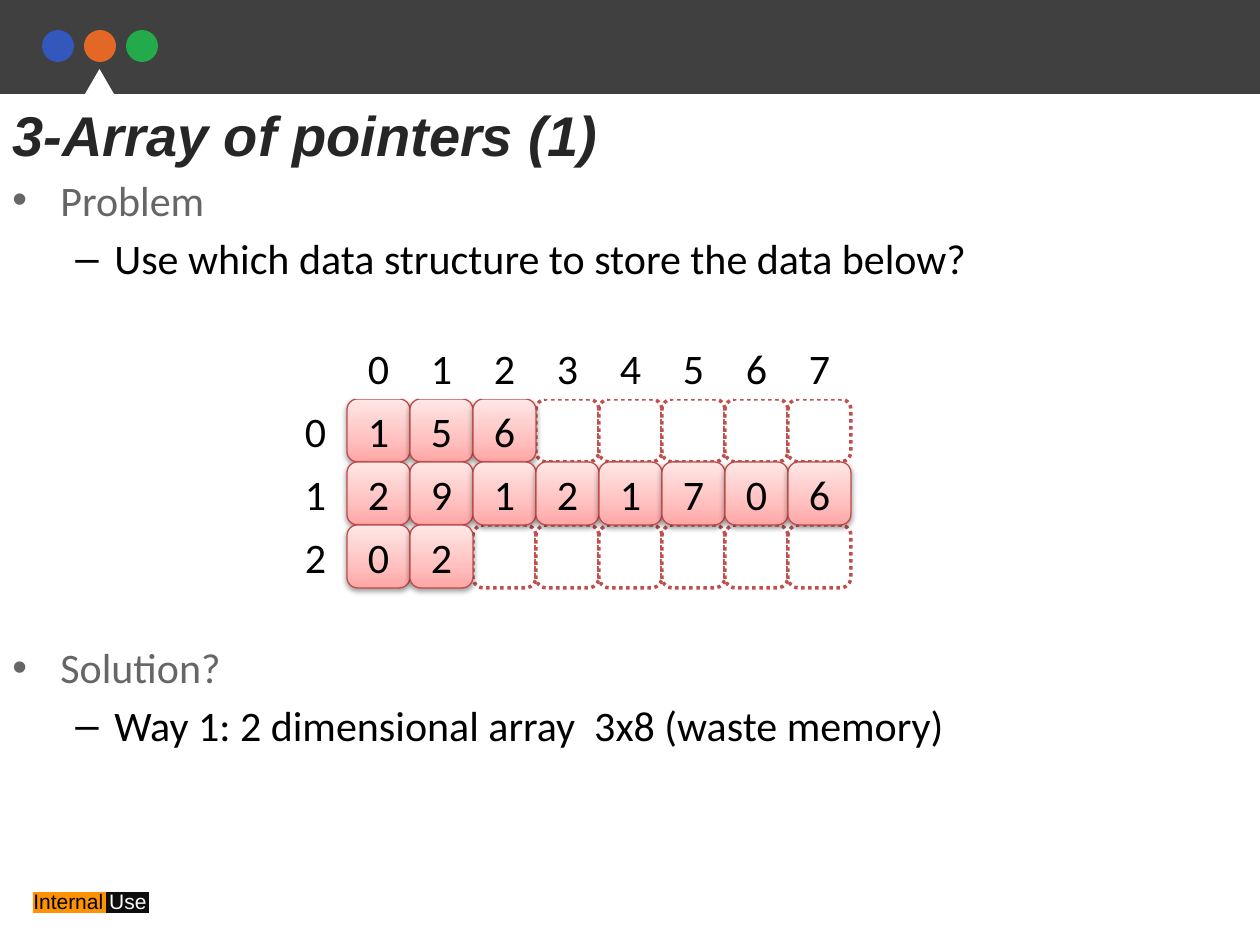
from dataclasses import dataclass

from lxml.etree import SubElement
from pptx import Presentation
from pptx.dml.color import RGBColor
from pptx.enum.dml import MSO_LINE
from pptx.enum.shapes import MSO_SHAPE
from pptx.enum.text import MSO_ANCHOR, PP_ALIGN
from pptx.oxml import parse_xml
from pptx.oxml.ns import nsdecls, qn
from pptx.util import Inches, Pt

PX = Inches(1) / 126


@dataclass(frozen=True)
class Theme:
    bar: str = "404040"
    dots: tuple = ("3357BB", "E46825", "23AA4A")
    white: str = "FFFFFF"
    black: str = "000000"
    title: str = "262626"
    heading: str = "666666"
    badge_left: str = "FD9203"
    badge_right: str = "0D0D0D"
    dotted_line: str = "C0504D"
    cell_line: str = "BF4C48"
    cell_stops: tuple = ((0, "FFA6A5"), (35, "FFC0BF"), (100, "FFE7E7"))
    title_font: str = "Arial"
    body_font: str = "Calibri"
    title_size: int = 32
    body_size: int = 24
    badge_size: int = 12


THEME = Theme()


def emu(*lengths):
    return [round(length * PX) for length in lengths]


def apply_format(target, values):
    for name, value in values.items():
        setattr(target, name, value)


def add_run(paragraph, text, color, size, font=THEME.body_font, **style):
    run = paragraph.add_run()
    run.text = text
    apply_format(run.font, {"name": font, "size": Pt(size), **style})
    run.font.color.rgb = RGBColor.from_string(color)


def add_shape(shapes, kind, box, fill):
    shape = shapes.add_shape(kind, *emu(*box))
    shape.shadow.inherit = False
    shape.fill.solid()
    shape.fill.fore_color.rgb = RGBColor.from_string(fill)
    shape.line.fill.background()
    return shape


def add_text_box(shapes, box, wrap=True):
    frame = shapes.add_textbox(*emu(*box)).text_frame
    frame.word_wrap = wrap
    return frame


def add_header(slide, left, top, width, height):
    add_shape(slide.shapes, MSO_SHAPE.RECTANGLE, (left, top, width, height), THEME.bar)
    for index, color in enumerate(THEME.dots):
        dot_box = (left + 42 + 42 * index, top + 30, 32, 32)
        add_shape(slide.shapes, MSO_SHAPE.OVAL, dot_box, color)
    # Marker under the second dot
    add_shape(slide.shapes, MSO_SHAPE.ISOSCELES_TRIANGLE,
              (left + 63, top + 69, 73, 63), THEME.white)


def add_badge(slide, left, top, width, height):
    shapes = slide.shapes.add_group_shape().shapes
    for offset, color in ((55, THEME.badge_right), (12, THEME.badge_left)):
        add_shape(shapes, MSO_SHAPE.RECTANGLE, (left + offset, top + 10, 73, 21), color)
    paragraph = add_text_box(shapes, (left, top, width, height)).paragraphs[0]
    for text, color in (("Internal ", THEME.black), ("Use", THEME.white)):
        add_run(paragraph, text, color, THEME.badge_size, THEME.title_font)


def add_title(slide, text, *box):
    paragraph = add_text_box(slide.shapes, box).paragraphs[0]
    add_run(paragraph, text, THEME.title, THEME.title_size, THEME.title_font,
            bold=True, italic=True)


def add_outline(slide, sections, gap, *box):
    frame = add_text_box(slide.shapes, box)
    lines = [(text, level, index) for index, section in enumerate(sections)
             for level, text in enumerate(section)]
    styles = (("•", THEME.heading, 48, 48), ("–", THEME.black, 102, 39))
    for number, (text, level, section) in enumerate(lines):
        paragraph = frame.paragraphs[0] if number == 0 else frame.add_paragraph()
        bullet, color, margin, hanging = styles[level]
        new_section = level == 0 and section > 0
        apply_format(paragraph, {
            "level": level,
            "space_before": Pt(gap if new_section else 4.5),
        })
        properties = paragraph._p.get_or_add_pPr()
        properties.set("marL", str(round(margin * PX)))
        properties.set("indent", str(round(-hanging * PX)))
        SubElement(properties, qn("a:buFont")).set("typeface", THEME.title_font)
        SubElement(properties, qn("a:buChar")).set("char", bullet)
        add_run(paragraph, text, color, THEME.body_size)


def add_cell(slide, box, text=""):
    cell = add_shape(slide.shapes, MSO_SHAPE.ROUNDED_RECTANGLE, box, THEME.white)
    cell.adjustments[0] = 0.17
    if text:
        frame = cell.text_frame
        apply_format(frame, {"word_wrap": False, "vertical_anchor": MSO_ANCHOR.MIDDLE})
        frame.paragraphs[0].alignment = PP_ALIGN.CENTER
        add_run(frame.paragraphs[0], text, THEME.black, THEME.body_size)
    return cell


def set_line(cell, color, **values):
    cell.line.color.rgb = RGBColor.from_string(color)
    apply_format(cell.line, values)


def add_empty_cell(slide, box):
    set_line(add_cell(slide, box), THEME.dotted_line,
             width=Pt(2), dash_style=MSO_LINE.ROUND_DOT)


def add_value_cell(slide, box, text):
    cell = add_cell(slide, box, text)
    set_line(cell, THEME.cell_line, width=Pt(0.75))
    properties = cell._element.spPr
    # Three-stop gradient running upwards
    stops = "".join(f'<a:gs pos="{position * 1000}"><a:srgbClr val="{color}"/></a:gs>'
                    for position, color in THEME.cell_stops)
    properties.replace(properties.find(qn("a:solidFill")), parse_xml(
        f'<a:gradFill {nsdecls("a")} rotWithShape="1"><a:gsLst>{stops}</a:gsLst>'
        '<a:lin ang="16200000" scaled="0"/></a:gradFill>'))
    # Soft shadow below the cell
    properties.find(qn("a:effectLst")).append(parse_xml(
        f'<a:outerShdw {nsdecls("a")} blurRad="40000" dist="20000" dir="5400000" '
        f'rotWithShape="0"><a:srgbClr val="{THEME.black}"><a:alpha val="38000"/>'
        '</a:srgbClr></a:outerShdw>'))


def add_array(slide, rows, columns, left, top, size):
    def box(row, column):
        return left + (column + 1) * size, top + (row + 1) * size, size, size

    # Unused cells lie behind everything else
    for row, values in enumerate(rows):
        for column in range(len(values), columns):
            add_empty_cell(slide, box(row, column))
    # Row and column indices surround the values
    for row in range(len(rows)):
        add_cell(slide, box(row, -1), str(row))
    for row, values in enumerate(rows):
        for column, value in enumerate(values):
            add_value_cell(slide, box(row, column), str(value))
        if row == 0:
            for column in range(columns):
                add_cell(slide, box(-1, column), str(column))


def main():
    presentation = Presentation()
    apply_format(presentation, {"slide_width": Inches(10), "slide_height": Inches(7.5)})
    slide = presentation.slides.add_slide(presentation.slide_layouts[6])
    add_header(slide, 0, 0, 1260, 94)
    add_badge(slide, 21, 882, 189, 38)
    sections = (
        ("Problem", "Use which data structure to store the data below?"),
        ("Solution?", "Way 1: 2 dimensional array  3x8 (waste memory)"),
    )
    add_outline(slide, sections, 205, 0, 168, 1134, 677)
    rows = ((1, 5, 6), (2, 9, 1, 2, 1, 7, 0, 6), (0, 2))
    add_array(slide, rows, 8, 284, 336, 63)
    add_title(slide, "3-Array of pointers (1)", 0, 94, 1229, 81)
    presentation.save("out.pptx")


if __name__ == "__main__":
    main()
